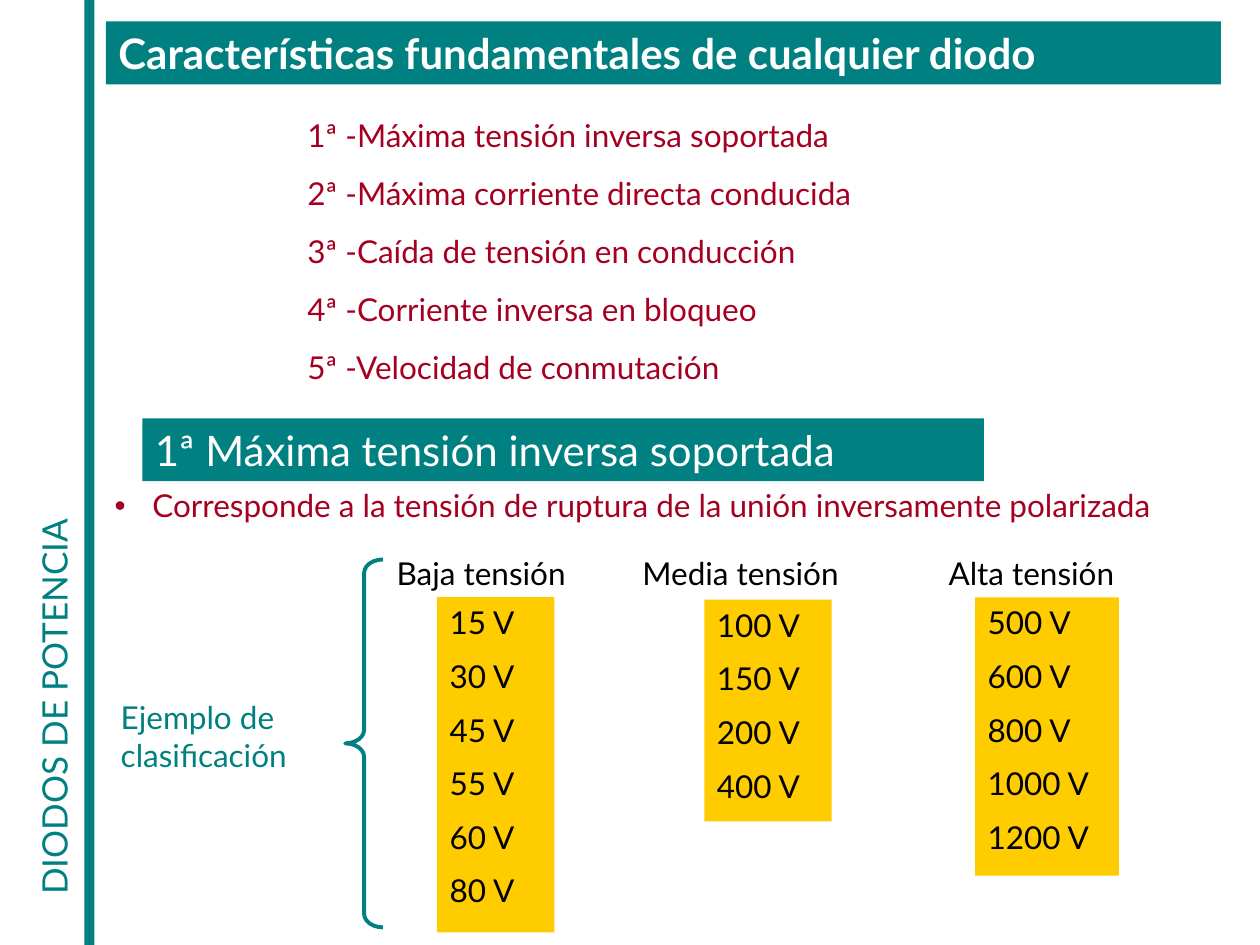
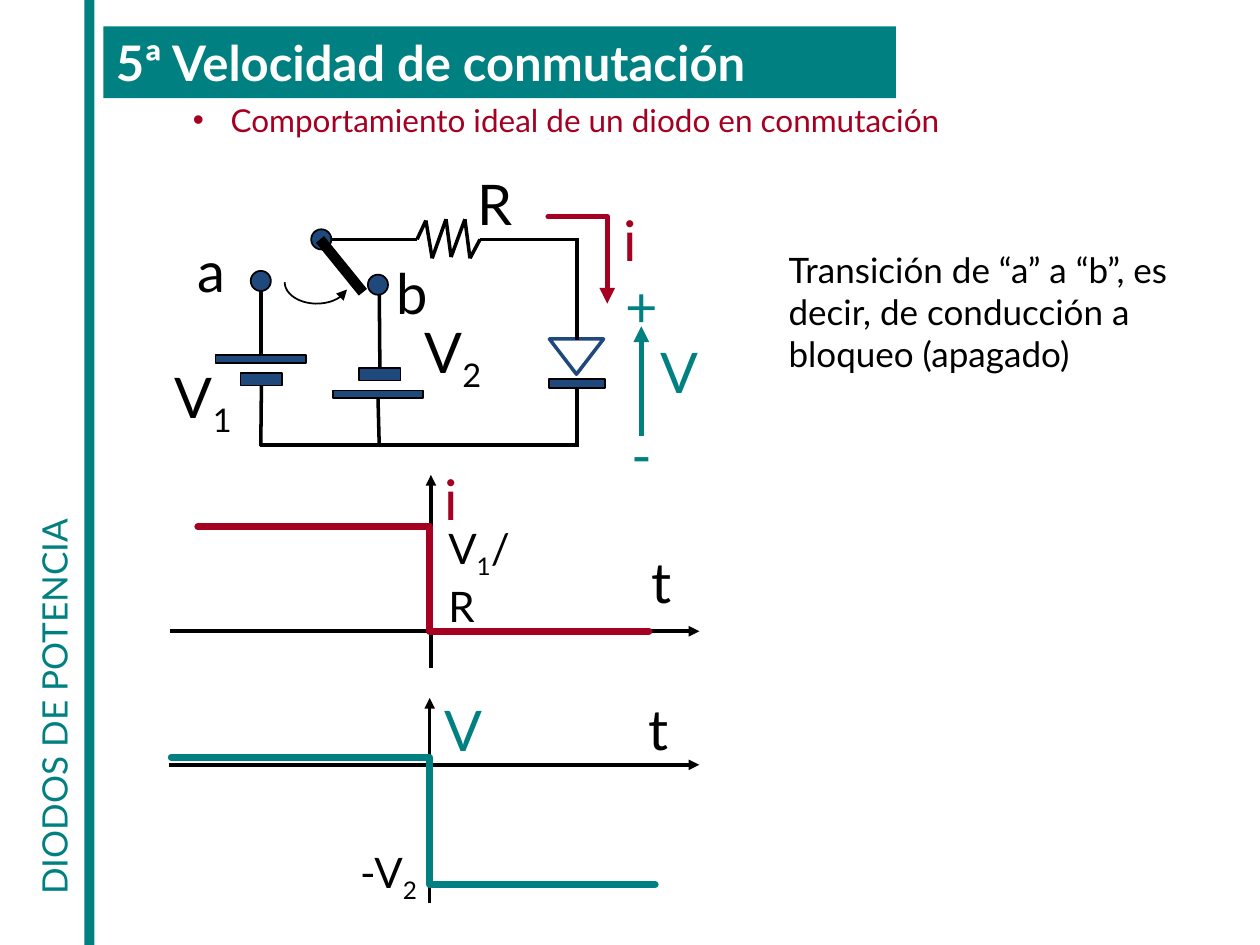
from dataclasses import dataclass
from math import cos, radians, sin

from lxml import etree
from pptx import Presentation
from pptx.dml.color import RGBColor
from pptx.enum.shapes import MSO_CONNECTOR, MSO_SHAPE
from pptx.enum.text import MSO_ANCHOR, MSO_AUTO_SIZE, PP_ALIGN
from pptx.oxml.ns import qn
from pptx.util import Emu, Pt

RECT, OVAL = MSO_SHAPE.RECTANGLE, MSO_SHAPE.OVAL
TRIANGLE, BRACE = MSO_SHAPE.ISOSCELES_TRIANGLE, MSO_SHAPE.LEFT_BRACE
STRAIGHT = MSO_CONNECTOR.STRAIGHT
LEFT, TOP, FIXED = PP_ALIGN.LEFT, MSO_ANCHOR.TOP, MSO_AUTO_SIZE.NONE
SIDE_TOP, SIDE_BOTTOM = 0, 2

FONT = "Lato"
COLORS = {
    "teal": "008080",
    "crimson": "A50021",
    "amber": "FFCC00",
    "navy": "1F497D",
    "black": "000000",
    "white": "FFFFFF",
}
EMU_PER_PX = 9144  # 100 px to the inch


@dataclass(frozen=True)
class Box:
    left: int
    top: int
    width: int
    height: int

    def emu(self) -> tuple:
        return tuple(px(v) for v in (self.left, self.top, self.width, self.height))


@dataclass(frozen=True)
class VoltageRange:
    heading: str
    heading_left: int
    heading_width: int
    left: int
    top: int
    width: int
    volts: tuple


@dataclass(frozen=True)
class Label:
    box: Box
    text: str
    color: str = "black"
    subscript: str = ""
    ending: str = ""
    size: int = 32
    wrap: bool = False


RANGES = (
    VoltageRange("Baja tensión", 305, 176, 347, 474, 93, (15, 30, 45, 55, 60, 80)),
    VoltageRange("Media tensión", 500, 218, 559, 476, 101, (100, 150, 200, 400)),
    VoltageRange("Alta tensión", 743, 176, 774, 474, 114, (500, 600, 800, 1000, 1200)),
)

CIRCUIT_LABELS = (
    Label(Box(147, 183, 44, 63), "a"),
    Label(Box(305, 200, 47, 63), "b"),
    Label(Box(129, 283, 66, 63), "V", subscript="1"),
    Label(Box(327, 247, 66, 63), "V", subscript="2"),
    Label(Box(369, 130, 52, 63), "R"),
    Label(Box(485, 158, 32, 63), "i", "crimson"),
    Label(Box(514, 263, 49, 63), "V", "teal"),
    Label(Box(487, 211, 46, 63), "+", "teal"),
    Label(Box(491, 329, 35, 63), "-", "teal"),
)
GRAPH_LABELS = (
    Label(Box(343, 364, 32, 63), "i", "crimson"),
    Label(Box(343, 547, 49, 63), "V", "teal"),
    Label(Box(507, 430, 35, 63), "t"),
    Label(Box(505, 546, 35, 63), "t"),
    Label(Box(346, 410, 76, 90), "V", subscript="1", ending="/R", size=24, wrap=True),
    Label(Box(276, 667, 65, 50), "-V", subscript="2", size=24),
)


# Basic drawing
def px(value: float) -> Emu:
    return Emu(round(value * EMU_PER_PX))


def rgb(color: str) -> RGBColor:
    return RGBColor.from_string(COLORS[color])


def set_line(shape, color: str, width: float, head="", tail="", rounded=False) -> None:
    shape.line.color.rgb = rgb(color)
    shape.line.width = Pt(width)
    ln = shape.element.spPr.find(qn("a:ln"))
    if rounded:
        ln.set("cap", "rnd")
        etree.SubElement(ln, qn("a:round"))
    for tag, kind in (("a:headEnd", head), ("a:tailEnd", tail)):
        if kind:
            etree.SubElement(ln, qn(tag)).set("type", kind)


def add_figure(slide, kind, box: Box, fill="", line="", width: float = 1):
    figure = slide.shapes.add_shape(kind, *box.emu())
    figure.shadow.inherit = False
    if fill:
        figure.fill.solid()
        figure.fill.fore_color.rgb = rgb(fill)
    else:
        figure.fill.background()
    if line:
        set_line(figure, line, width)
    else:
        figure.line.fill.background()
    return figure


def add_wire(slide, start: tuple, end: tuple, color="black", width: float = 2, tail=""):
    wire = slide.shapes.add_connector(STRAIGHT, *map(px, start + end))
    set_line(wire, color, width, tail=tail)
    etree.SubElement(wire.element.spPr, qn("a:effectLst"))
    return wire


def add_trace(slide, points: list, color: str, width: float, **ends):
    start, *rest = [(px(x), px(y)) for x, y in points]
    builder = slide.shapes.build_freeform(*start)
    builder.add_line_segments(rest, close=False)
    trace = builder.convert_to_shape()
    trace.shadow.inherit = False
    trace.fill.background()
    set_line(trace, color, width, **ends)
    return trace


# Text
def write(shape, text: str, size: int, color: str, bold=False, wrap=True,
          before: float = 0, after: float = 0, spacing: float = 1.0) -> None:
    frame = shape.text_frame
    frame.text = text
    frame.auto_size = FIXED
    frame.word_wrap = wrap
    frame.vertical_anchor = TOP
    for paragraph in frame.paragraphs:
        paragraph.alignment = LEFT
        paragraph.space_before, paragraph.space_after = Pt(before), Pt(after)
        paragraph.line_spacing = spacing
        for run in paragraph.runs:
            style_run(run, size, color, bold)


def style_run(run, size: int, color: str, bold=False) -> None:
    run.font.name = FONT
    run.font.size = Pt(size)
    run.font.bold = bold
    run.font.color.rgb = rgb(color)


def set_bullets(shape, char: str = "", indent: int = 0) -> None:
    for paragraph in shape.text_frame.paragraphs:
        props = paragraph._p.get_or_add_pPr()
        props.set("marL", str(px(indent)))
        props.set("indent", str(-px(indent)))
        if char:
            etree.SubElement(props, qn("a:buFont")).set("typeface", "Arial")
            etree.SubElement(props, qn("a:buChar")).set("char", char)
        else:
            etree.SubElement(props, qn("a:buNone"))


def add_text(slide, box: Box, text: str, size: int, color: str, **style):
    note = slide.shapes.add_textbox(*box.emu())
    write(note, text, size, color, **style)
    return note


def add_label(slide, label: Label) -> None:
    note = add_text(slide, label.box, label.text, label.size, label.color, wrap=label.wrap)
    paragraph = note.text_frame.paragraphs[0]
    for text, baseline in ((label.subscript, "-25000"), (label.ending, "0")):
        if text:
            run = paragraph.add_run()
            run.text = text
            style_run(run, label.size, label.color)
            run._r.get_or_add_rPr().set("baseline", baseline)


# Shared slide frame
def place(shape, box: Box) -> None:
    shape.left, shape.top, shape.width, shape.height = box.emu()


def start_slide(deck, title: str, title_box: Box, title_size: int, body_box: Box):
    slide = deck.slides.add_slide(deck.slide_layouts[1])
    add_figure(slide, RECT, Box(67, 0, 8, 750), "teal")
    add_text(slide, Box(-308, 348, 701, 43), "DIODOS DE POTENCIA", 20, "teal").rotation = 270
    band = slide.shapes.title
    place(band, title_box)
    band.fill.solid()
    band.fill.fore_color.rgb = rgb("teal")
    write(band, title, title_size, "white", bold=True)
    body = slide.placeholders[1]
    place(body, body_box)
    return slide, body


# Slide 1: diode characteristics
def build_characteristics(deck) -> None:
    slide, body = start_slide(deck, "Características fundamentales de cualquier diodo",
                              Box(84, 17, 885, 50), 24, Box(234, 81, 539, 238))
    traits = ("Máxima tensión inversa soportada", "Máxima corriente directa conducida",
              "Caída de tensión en conducción", "Corriente inversa en bloqueo",
              "Velocidad de conmutación")
    listing = "\n".join(f"{n}ª -{trait}" for n, trait in enumerate(traits, 1))
    write(body, listing, 18, "crimson", after=7.2, spacing=1.2)
    set_bullets(body)

    subtitle = add_figure(slide, RECT, Box(113, 332, 668, 50), "teal")
    write(subtitle, f"1ª {traits[0]}", 24, "white")
    meaning = add_text(slide, Box(91, 380, 885, 36),
                       "Corresponde a la tensión de ruptura de la unión inversamente polarizada",
                       18, "crimson", after=7.2, spacing=1.2)
    frame = meaning.text_frame
    frame.margin_left = frame.margin_right = frame.margin_top = frame.margin_bottom = 0
    set_bullets(meaning, "•", 30)

    # Voltage classes
    add_text(slide, Box(86, 549, 208, 70), "Ejemplo de clasificación", 18, "teal")
    brace = add_figure(slide, BRACE, Box(274, 444, 30, 292), line="teal", width=2.25)
    brace.adjustments[0] = 0.356
    for group in RANGES:
        add_text(slide, Box(group.heading_left, 435, group.heading_width, 40),
                 group.heading, 18, "black")
        height = 45 * len(group.volts) - 4
        values = add_figure(slide, RECT, Box(group.left, group.top, group.width, height), "amber")
        write(values, "\n".join(f"{v} V" for v in group.volts), 18, "black", before=9)


# Slide 2: switching speed
def draw_circuit(slide) -> None:
    # Battery plates and diode bar, with their joined leads
    for box, side, lead_end in (
        (Box(171, 282, 72, 6), SIDE_TOP, (207, 229)),
        (Box(191, 296, 33, 10), SIDE_BOTTOM, (207, 354)),
        (Box(285, 292, 33, 10), SIDE_TOP, (301, 228)),
        (Box(264, 310, 72, 6), SIDE_BOTTOM, (301, 354)),
        (Box(436, 301, 44, 7), SIDE_BOTTOM, (458, 355)),
    ):
        plate = add_figure(slide, RECT, box, "navy", "black")
        lead = add_wire(slide, lead_end, lead_end)
        lead.begin_connect(plate, side)
        lead.end_x, lead.end_y = map(px, lead_end)
    diode = add_figure(slide, TRIANGLE, Box(436, 269, 43, 28), line="navy", width=2)
    diode.rotation = 180

    # Wires and resistor
    add_wire(slide, (206, 353), (458, 353))
    add_wire(slide, (458, 270), (458, 189))
    upper = [(260, 190), (331, 190), (338, 175), (343, 205), (354, 174), (358, 204),
             (369, 174), (373, 205), (381, 190), (459, 190)]
    for start, end in zip(upper, upper[1:]):
        add_wire(slide, start, end)

    # Switch
    for left, top in ((199, 215), (292, 218), (247, 182)):
        add_figure(slide, OVAL, Box(left, top, 16, 16), "navy", "black")
    add_wire(slide, (288, 232), (254, 190), width=6)
    swing = [(251.5 + 25.5 * cos(radians(a)), 224 + 17 * sin(radians(a)))
             for a in range(20, 181, 8)]
    add_trace(slide, swing, "black", 1, head="triangle")

    # Current and voltage directions
    add_trace(slide, [(435, 172), (482, 172), (482, 241)], "crimson", 3,
              tail="triangle", rounded=True)
    add_wire(slide, (509, 346), (509, 259), "teal", 3, "triangle")


def draw_graphs(slide) -> None:
    for start, end in (((135, 501), (555, 501)), ((342, 530), (342, 377)),
                       ((134, 607), (555, 607)), ((341, 717), (341, 554))):
        add_wire(slide, start, end, tail="triangle")
    for color, left, high, low, right in (("crimson", 157, 418, 501, 515),
                                          ("teal", 136, 601, 702, 520)):
        add_trace(slide, [(left, high), (341, high), (341, low), (right, low)],
                  color, 4, rounded=True)


def build_switching(deck) -> None:
    slide, body = start_slide(deck, "5ª Velocidad de conmutación",
                              Box(82, 21, 629, 57), 28, Box(143, 75, 647, 40))
    write(body, "Comportamiento ideal de un diodo en conmutación", 18, "crimson")
    set_bullets(body, "•", 30)
    add_text(slide, Box(616, 192, 348, 110),
             "Transición de “a” a “b”, es decir, de conducción a bloqueo (apagado)", 20, "black")
    draw_circuit(slide)
    draw_graphs(slide)
    for label in CIRCUIT_LABELS + GRAPH_LABELS:
        add_label(slide, label)


def main() -> None:
    deck = Presentation()
    deck.slide_width, deck.slide_height = px(1000), px(750)
    build_characteristics(deck)
    build_switching(deck)
    deck.save("out.pptx")


if __name__ == "__main__":
    main()
